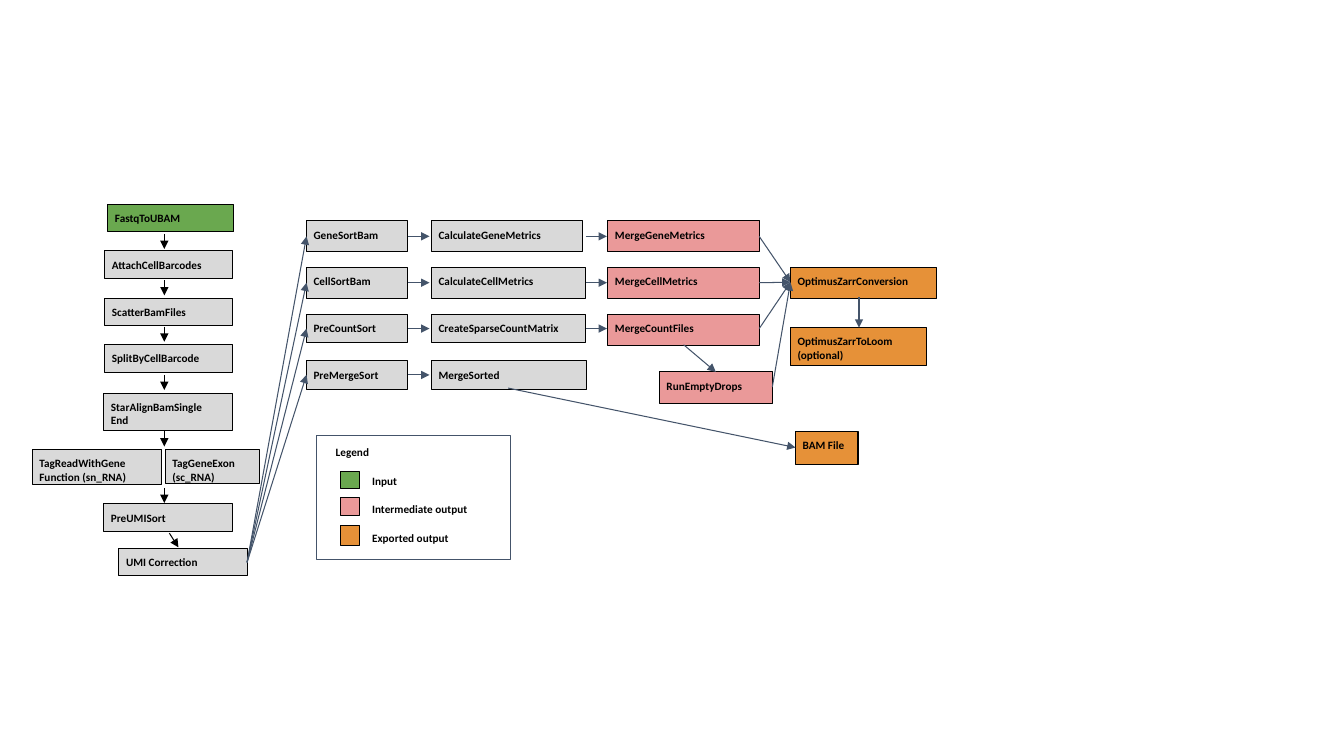
from lxml.etree import SubElement
from pptx import Presentation
from pptx.dml.color import RGBColor
from pptx.enum.shapes import MSO_CONNECTOR, MSO_SHAPE
from pptx.enum.text import MSO_ANCHOR, PP_ALIGN
from pptx.oxml.ns import qn
from pptx.util import Inches, Pt

COLORS = {
    "input": "6AA84F",
    "step": "D9D9D9",
    "intermediate": "EA9999",
    "exported": "E69138",
    "black": "000000",
    "slate": "44546A",
}

# Text, left, top, width, height, role
PREPARATION_STEPS = [
    ("FastqToUBAM", 1.07, 2.03, 1.25, 0.27, "input"),
    ("AttachCellBarcodes", 1.04, 2.49, 1.27, 0.27, "step"),
    ("ScatterBamFiles", 1.04, 2.96, 1.27, 0.27, "step"),
    ("SplitByCellBarcode", 1.04, 3.42, 1.27, 0.28, "step"),
    ("StarAlignBamSingle\nEnd", 1.03, 3.9, 1.28, 0.37, "step"),
    ("TagReadWithGene\nFunction (sn_RNA)", 0.32, 4.46, 1.28, 0.35, "step"),
    ("TagGeneExon\n(sc_RNA)", 1.64, 4.46, 0.93, 0.34, "step"),
    ("PreUMISort", 1.03, 5, 1.28, 0.27, "step"),
    ("UMI Correction", 1.18, 5.44, 1.28, 0.27, "step"),
]

# Top, height, sort step, calculation step, its width, merge step
BRANCHES = [
    (2.19, 0.31, "GeneSortBam", "CalculateGeneMetrics", 1.5, "MergeGeneMetrics"),
    (2.65, 0.31, "CellSortBam", "CalculateCellMetrics", 1.53, "MergeCellMetrics"),
    (3.12, 0.28, "PreCountSort", "CreateSparseCountMatrix", 1.53, "MergeCountFiles"),
    (3.58, 0.28, "PreMergeSort", "MergeSorted", 1.54, None),
]

OUTPUTS = [
    ("RunEmptyDrops", 6.54, 3.69, 1.12, 0.31, "intermediate"),
    ("OptimusZarrConversion", 7.84, 2.65, 1.45, 0.31, "exported"),
    ("OptimusZarrToLoom\n(optional)", 7.84, 3.25, 1.35, 0.38, "exported"),
    ("BAM File", 7.89, 4.28, 0.62, 0.33, "exported"),
]

# Swatch top, swatch height, label top, text, role
LEGEND_ROWS = [
    (4.68, 0.17, 4.64, "Input", "input"),
    (4.94, 0.17, 4.92, "Intermediate output", "intermediate"),
    (5.21, 0.2, 5.2, "Exported output", "exported"),
]


def rgb(name):
    return RGBColor.from_string(COLORS[name])


def write_text(shape, text):
    frame = shape.text_frame
    frame.word_wrap = True
    frame.vertical_anchor = MSO_ANCHOR.TOP
    frame.margin_left = frame.margin_right = Inches(0.07)
    frame.margin_top = frame.margin_bottom = Inches(0.07)
    frame.text = text
    for paragraph in frame.paragraphs:
        paragraph.alignment = PP_ALIGN.LEFT
        font = paragraph.runs[0].font
        font.name, font.size, font.bold = "Calibri", Pt(8), True
        font.color.rgb = rgb("black")


def add_box(slide, text, left, top, width, height, fill=None, line="black"):
    shape = slide.shapes.add_shape(
        MSO_SHAPE.RECTANGLE, Inches(left), Inches(top), Inches(width), Inches(height))
    shape.shadow.inherit = False
    if fill:
        shape.fill.solid()
        shape.fill.fore_color.rgb = rgb(fill)
    else:
        shape.fill.background()
    shape.line.color.rgb = rgb(line)
    shape.line.width = Pt(0.75)
    if text:
        write_text(shape, text)


def add_label(slide, text, left, top, width, height):
    write_text(slide.shapes.add_textbox(
        Inches(left), Inches(top), Inches(width), Inches(height)), text)


def add_arrow(slide, start_x, start_y, end_x, end_y, color="slate"):
    arrow = slide.shapes.add_connector(
        MSO_CONNECTOR.STRAIGHT,
        Inches(start_x), Inches(start_y), Inches(end_x), Inches(end_y))
    arrow.line.color.rgb = rgb(color)
    arrow.line.width = Pt(0.75)
    properties = arrow._element.spPr
    SubElement(properties.find(qn("a:ln")), qn("a:tailEnd"), type="triangle")
    SubElement(properties, qn("a:effectLst"))


def add_preparation(slide):
    for step in PREPARATION_STEPS:
        add_box(slide, *step)
    for top in (2.32, 2.78, 3.24, 3.72, 4.28, 4.84):
        add_arrow(slide, 1.63, top, 1.63, top + 0.15, "black")
    add_arrow(slide, 1.68, 5.29, 1.77, 5.43, "black")


def add_branches(slide):
    for top, height, sort, calculate, width, merge in BRANCHES:
        middle = top + height / 2
        add_box(slide, sort, 3.04, top, 1, height, "step")
        add_box(slide, calculate, 4.28, top, width, height, "step")
        add_arrow(slide, 2.45, 5.58, 3.04, middle)
        add_arrow(slide, 4.05, middle, 4.26, middle)
        if merge:
            add_box(slide, merge, 6.03, top, 1.5, 0.31, "intermediate")
            add_arrow(slide, 5.81, middle, 6.02, middle)
            add_arrow(slide, 7.53, middle, 7.84, 2.8)


def add_outputs(slide):
    for output in OUTPUTS:
        add_box(slide, *output)
    add_arrow(slide, 6.78, 3.42, 7.1, 3.69)
    add_arrow(slide, 7.66, 3.84, 7.84, 2.8)
    add_arrow(slide, 8.52, 2.95, 8.52, 3.25)
    add_arrow(slide, 5.04, 3.85, 7.89, 4.44)


def add_legend(slide):
    add_box(slide, None, 3.14, 4.32, 1.92, 1.23, line="slate")
    add_label(slide, "Legend", 3.26, 4.35, 0.63, 0.25)
    for swatch_top, swatch_height, label_top, text, role in LEGEND_ROWS:
        add_box(slide, None, 3.38, swatch_top, 0.19, swatch_height, role)
        add_label(slide, text, 3.62, label_top, 1.31, 0.25)


def main():
    presentation = Presentation()
    presentation.slide_width = Inches(13.33)
    presentation.slide_height = Inches(7.5)
    slide = presentation.slides.add_slide(presentation.slide_layouts[6])
    add_preparation(slide)
    add_branches(slide)
    add_outputs(slide)
    add_legend(slide)
    presentation.save("out.pptx")


main()
